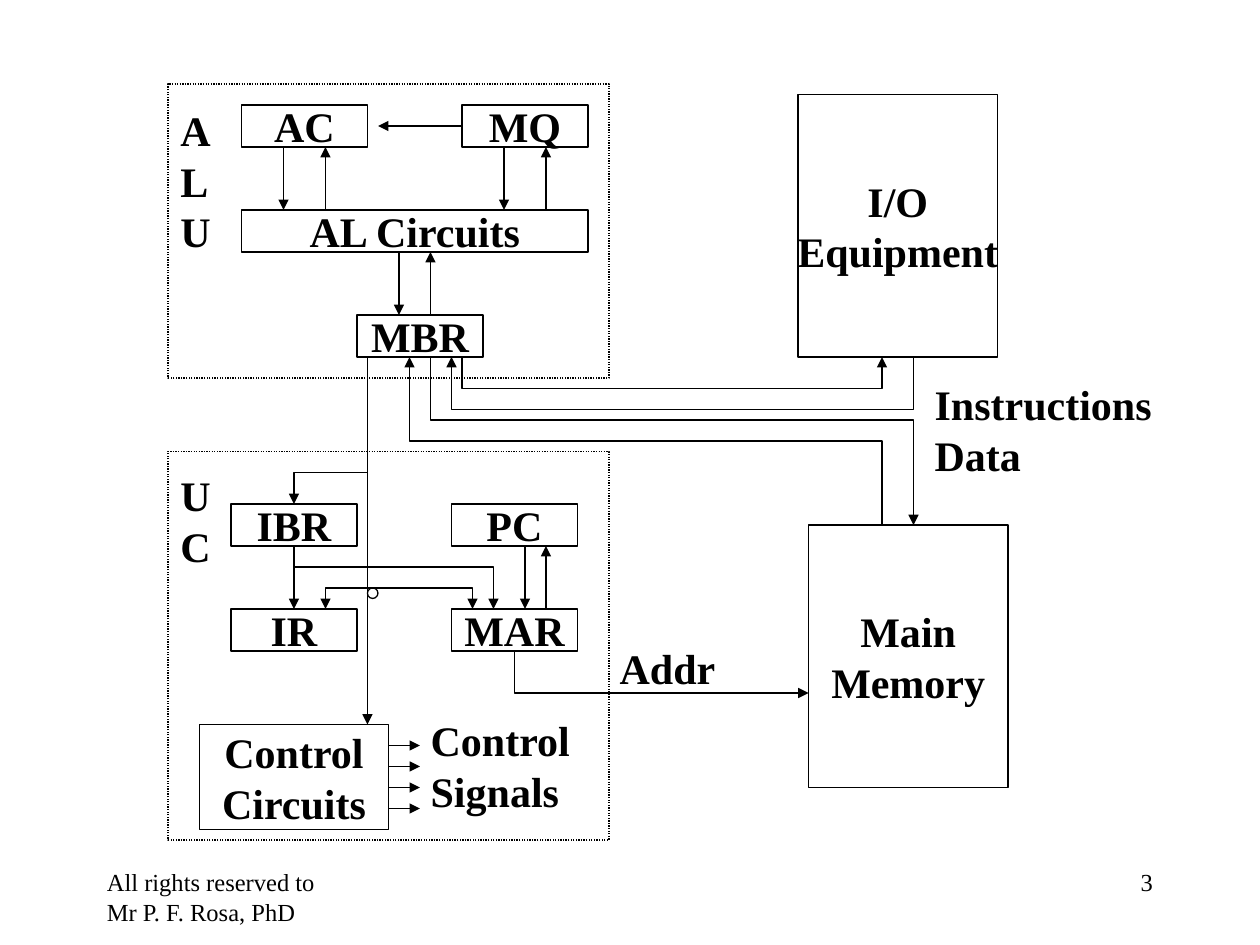
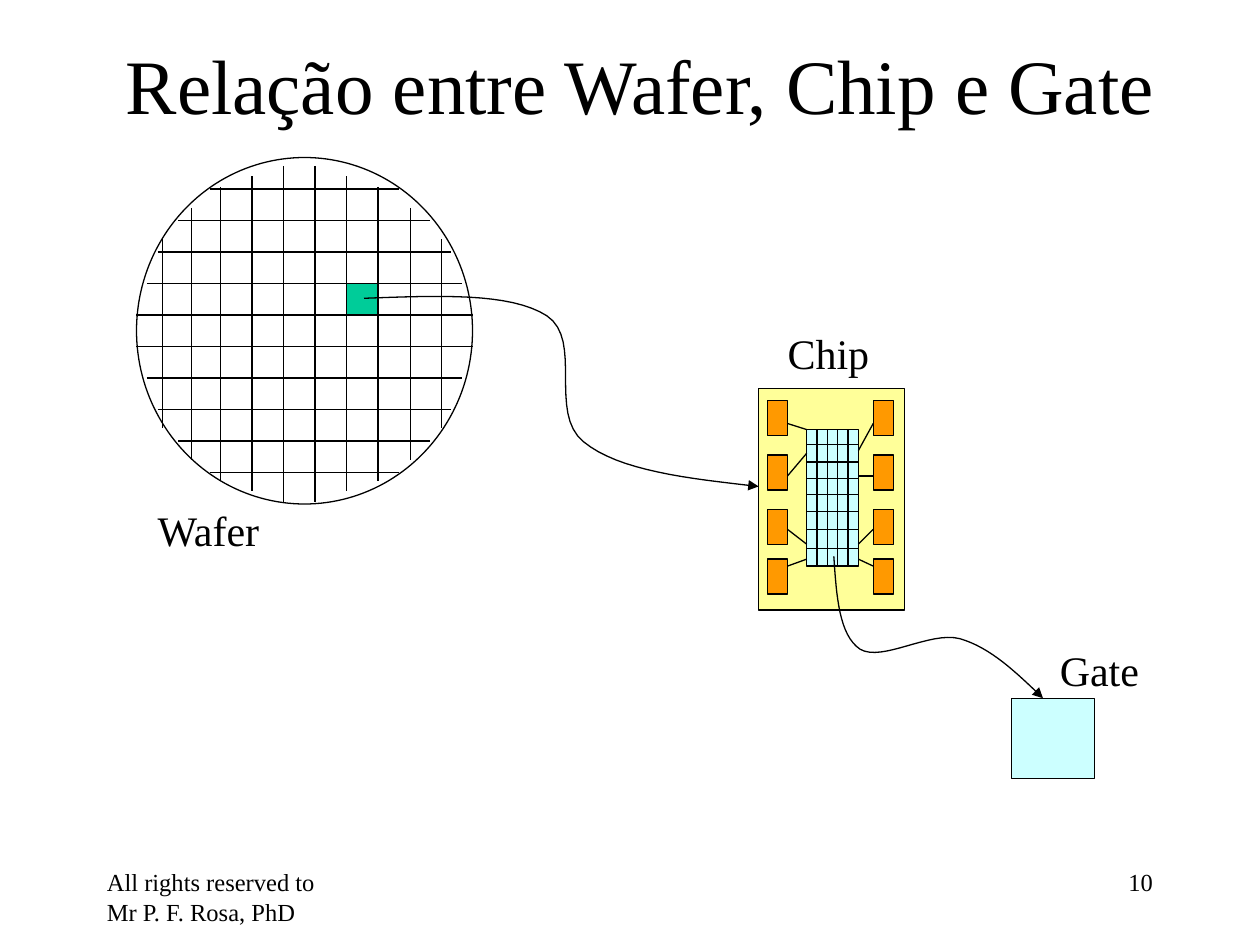
from pptx import Presentation
from pptx.dml.color import RGBColor
from pptx.enum import dml, shapes, text
from pptx.oxml.ns import qn
from pptx.util import Pt
from lxml import etree

BLACK = RGBColor(0x00, 0x00, 0x00)
GREEN = RGBColor(0x00, 0xCC, 0x99)
YELLOW = RGBColor(0xFF, 0xFF, 0x99)
ORANGE = RGBColor(0xFF, 0x99, 0x00)
CYAN = RGBColor(0xCC, 0xFF, 0xFF)
FONT = "Times New Roman"
LINE_WIDTH = 0.75
BODY, TITLE, FOOTER = 24, 44, 14
LEFT, CENTER, RIGHT = text.PP_ALIGN.LEFT, text.PP_ALIGN.CENTER, text.PP_ALIGN.RIGHT
TOP, MIDDLE = text.MSO_ANCHOR.TOP, text.MSO_ANCHOR.MIDDLE
RECT, OVAL = shapes.MSO_SHAPE.RECTANGLE, shapes.MSO_SHAPE.OVAL

COPYRIGHT = "All rights reserved to Mr P. F. Rosa, PhD"

# ---- Content: computer organisation (left, top, width, height in points) ----
REGIONS = [  # letters, box, space above the letters
    ("ALU", (96, 48, 252, 168), 12),
    ("UC", (96, 258, 252, 222), 10.5),
]
REGISTER_SIZE = (72, 24)
REGISTERS = {
    "AC": (138, 60), "MQ": (264, 60), "MBR": (204, 180),
    "IBR": (132, 288), "PC": (258, 288), "IR": (132, 348), "MAR": (258, 348),
}
UNITS = [
    (["AL Circuits"], (138, 120, 198, 24)),
    (["Control", "Circuits"], (114, 414, 108, 60)),
    (["I/O", "Equipment"], (456, 54, 114, 150)),
    (["Main", "Memory"], (462, 300, 114, 150)),
]
SIGNAL_NAMES = [
    (["Control", "Signals"], (239, 405, 95, 65.5)),
    (["Addr"], (347, 363.5, 70, 36.5)),
    (["Instructions", "Data"], (527, 213, 139.5, 65.5)),
]
STRAIGHT_PATHS = [
    ((264, 72), (216, 72)),                              # MQ to AC
    ((162, 84), (162, 120)), ((186, 120), (186, 84)),    # AC and AL Circuits
    ((288, 84), (288, 120)), ((312, 120), (312, 84)),    # MQ and AL Circuits
    ((228, 144), (228, 180)), ((246, 180), (246, 144)),  # AL Circuits and MBR
    ((210, 204), (210, 414)),                            # MBR to Control Circuits
    ((168, 312), (168, 348)),                            # IBR to IR
    ((300, 312), (300, 348)), ((312, 348), (312, 312)),  # PC and MAR
]
STRAIGHT_PATHS += [((222, 426 + 12 * i), (240, 426 + 12 * i)) for i in range(4)]
BENT_PATHS = [  # points, arrowhead ends
    ([(264, 204), (264, 222), (504, 222), (504, 204)], ["tail"]),
    ([(258, 204), (258, 234), (522, 234), (522, 204)], ["head"]),
    ([(246, 204), (246, 240), (522, 240), (522, 300)], ["tail"]),
    ([(234, 204), (234, 252), (504, 252), (504, 300)], ["head"]),
    ([(210, 270), (168, 270), (168, 288)], ["tail"]),
    ([(186, 348), (186, 336), (270, 336), (270, 348)], ["head", "tail"]),
    ([(168, 324), (282, 324), (282, 348)], ["tail"]),
    ([(294, 372), (294, 396), (462, 396)], ["tail"]),
]
CROSSING = (210, 336, 6, 6)

# ---- Content: wafer, chip and gate ----
WAFER_TITLE = "Relação entre Wafer, Chip e Gate"
WAFER = (78, 90, 192, 198)
WAFER_CENTER = (174, 190.8)
HALF_CHORDS = [54, 72, 84, 90, 96, 96, 90, 84, 72, 54]
WAFER_ROWS = [108 + 18 * i for i in range(10)]
WAFER_COLUMNS = [93, 109.5, 126, 144, 162, 180, 198, 216, 234.5, 252.5]
DIE = (198, 162, 18, 18)
CHIP = (433.5, 222, 83.5, 126.5)
CORE = (461, 245.5, 29.5, 78)
CORE_ROWS = [254, 264, 273.5, 282.5, 292.5, 302.5, 313.5]
PAD_SIZE = (11.5, 20)
PAD_TOPS = [229, 260, 291, 319.5]
WIRE_PAD_ENDS = [242, 272, 302.5, 323.5]
PAD_SIDES = [  # pad left, wire x at core, wire x at pad, wire y at core
    (438.5, 461, 450, [245.5, 259, 311, 319.5]),
    (499, 490.5, 499, [257.5, 272, 311, 319.5]),
]
GATE = (578, 399, 47.5, 46)
PART_NAMES = [
    ("Wafer", (83, 284.5, 74, 36)),
    ("Chip", (443, 183.5, 61, 36)),
    ("Gate", (598.5, 365, 60, 36)),
]
ZOOM_CURVES = [  # start, then two control points and an end per piece
    [(208, 170.5), (250, 169), (291.5, 167), (312.5, 180.5),
     (333.5, 194.5), (313, 236), (333.5, 252.5), (353.5, 269), (393, 273.5), (433.5, 278)],
    [(476.5, 318), (478, 340.5), (479.5, 363), (491.5, 371),
     (504, 378.5), (531.5, 360.5), (548.5, 365), (566, 370), (581, 384.5), (596, 399)],
]


# ---- Shared drawing helpers ----
def pts(values):
    return [Pt(v) for v in values]


def write(frame, lines, size=BODY, bold=False, align=LEFT, anchor=TOP, wrap=False):
    frame.word_wrap = wrap
    frame.auto_size = text.MSO_AUTO_SIZE.NONE
    frame.vertical_anchor = anchor
    for i, line in enumerate(lines):
        paragraph = frame.add_paragraph() if i else frame.paragraphs[0]
        paragraph.alignment = align
        run = paragraph.add_run()
        run.text = line
        run.font.name, run.font.size, run.font.bold = FONT, Pt(size), bold
        run.font.color.rgb = BLACK


def add_label(slide, lines, box, **style):
    write(slide.shapes.add_textbox(*pts(box)).text_frame, lines, **style)


def style_line(line, arrows=()):
    line.color.rgb = BLACK
    line.width = Pt(LINE_WIDTH)
    for end in arrows:
        etree.SubElement(line._get_or_add_ln(), qn(f"a:{end}End"), type="triangle")


def add_box(slide, box, fill=None, kind=RECT):
    shape = slide.shapes.add_shape(kind, *pts(box))
    shape.shadow.inherit = False
    if fill is None:
        shape.fill.background()
    else:
        shape.fill.solid()
        shape.fill.fore_color.rgb = fill
    style_line(shape.line)
    return shape


def add_line(slide, start, end, arrows=()):
    line = slide.shapes.add_connector(shapes.MSO_CONNECTOR.STRAIGHT, *pts(start + end))
    style_line(line.line, arrows)
    etree.SubElement(line._element.spPr, qn("a:effectLst"))


def add_path(slide, points, arrows):
    start, *rest = [tuple(pts(p)) for p in points]
    builder = slide.shapes.build_freeform(*start)
    builder.add_line_segments(rest, close=False)
    path = builder.convert_to_shape()
    path.shadow.inherit = False
    path.fill.background()
    style_line(path.line, arrows)


def curve_points(knots, steps=16):
    points = [knots[0]]
    for k in range(0, len(knots) - 1, 3):
        piece = knots[k:k + 4]
        for step in range(1, steps + 1):
            t = step / steps
            weights = ((1 - t) ** 3, 3 * t * (1 - t) ** 2, 3 * t * t * (1 - t), t ** 3)
            points.append(tuple(sum(w * p[axis] for w, p in zip(weights, piece))
                                for axis in (0, 1)))
    return points


def add_slide(prs, layout, number):
    slide = prs.slides.add_slide(prs.slide_layouts[layout])
    add_label(slide, [COPYRIGHT], (54, 492, 150, 36), size=FOOTER, wrap=True)
    add_label(slide, [number], (516, 492, 150, 36), size=FOOTER, align=RIGHT, wrap=True)
    return slide


# ---- Slides ----
def build_computer(prs):
    slide = add_slide(prs, 6, "3")
    for letters, box, space in REGIONS:
        region = add_box(slide, box)
        region.line.dash_style = dml.MSO_LINE.ROUND_DOT
        region.text_frame.margin_top = Pt(space)
        write(region.text_frame, letters, bold=True, wrap=True)
    registers = [([name], place + REGISTER_SIZE) for name, place in REGISTERS.items()]
    for lines, box in registers + UNITS:
        write(add_box(slide, box).text_frame, lines, bold=True, align=CENTER, anchor=MIDDLE)
    for start, end in STRAIGHT_PATHS:
        add_line(slide, start, end, ["tail"])
    for points, arrows in BENT_PATHS:
        add_path(slide, points, arrows)
    add_box(slide, CROSSING, kind=OVAL)
    for lines, box in SIGNAL_NAMES:
        add_label(slide, lines, box, bold=True)


def build_wafer(prs):
    slide = add_slide(prs, 5, "10")
    title = slide.shapes.title
    title.left, title.top, title.width, title.height = pts((60, 24, 612, 48))
    write(title.text_frame, [WAFER_TITLE], size=TITLE, align=CENTER, anchor=MIDDLE, wrap=True)

    # Wafer with its grid and one marked die
    add_box(slide, WAFER, kind=OVAL)
    cx, cy = WAFER_CENTER
    for half, x, y in zip(HALF_CHORDS, WAFER_COLUMNS, WAFER_ROWS):
        add_line(slide, (cx - half, y), (cx + half, y))
        add_line(slide, (x, cy - half), (x, cy + half))
    add_box(slide, DIE, GREEN)

    # Chip with pads, core grid and bond wires
    add_box(slide, CHIP, YELLOW)
    add_box(slide, CORE, CYAN)
    left, top, width, height = CORE
    for i in range(1, 5):
        x = left + width * i / 5
        add_line(slide, (x, top), (x, top + height))
    for y in CORE_ROWS:
        add_line(slide, (left, y), (left + width, y))
    for pad_left, core_x, pad_x, core_ends in PAD_SIDES:
        for pad_top, core_y, pad_y in zip(PAD_TOPS, core_ends, WIRE_PAD_ENDS):
            add_box(slide, (pad_left, pad_top) + PAD_SIZE, ORANGE)
            add_line(slide, (core_x, core_y), (pad_x, pad_y))

    # Gate, zoom arrows and names
    add_box(slide, GATE, CYAN)
    for knots in ZOOM_CURVES:
        add_path(slide, curve_points(knots), ["tail"])
    for name, box in PART_NAMES:
        add_label(slide, [name], box)


def main():
    prs = Presentation()
    prs.slide_width, prs.slide_height = Pt(720), Pt(540)
    build_computer(prs)
    build_wafer(prs)
    prs.save("out.pptx")


if __name__ == "__main__":
    main()
